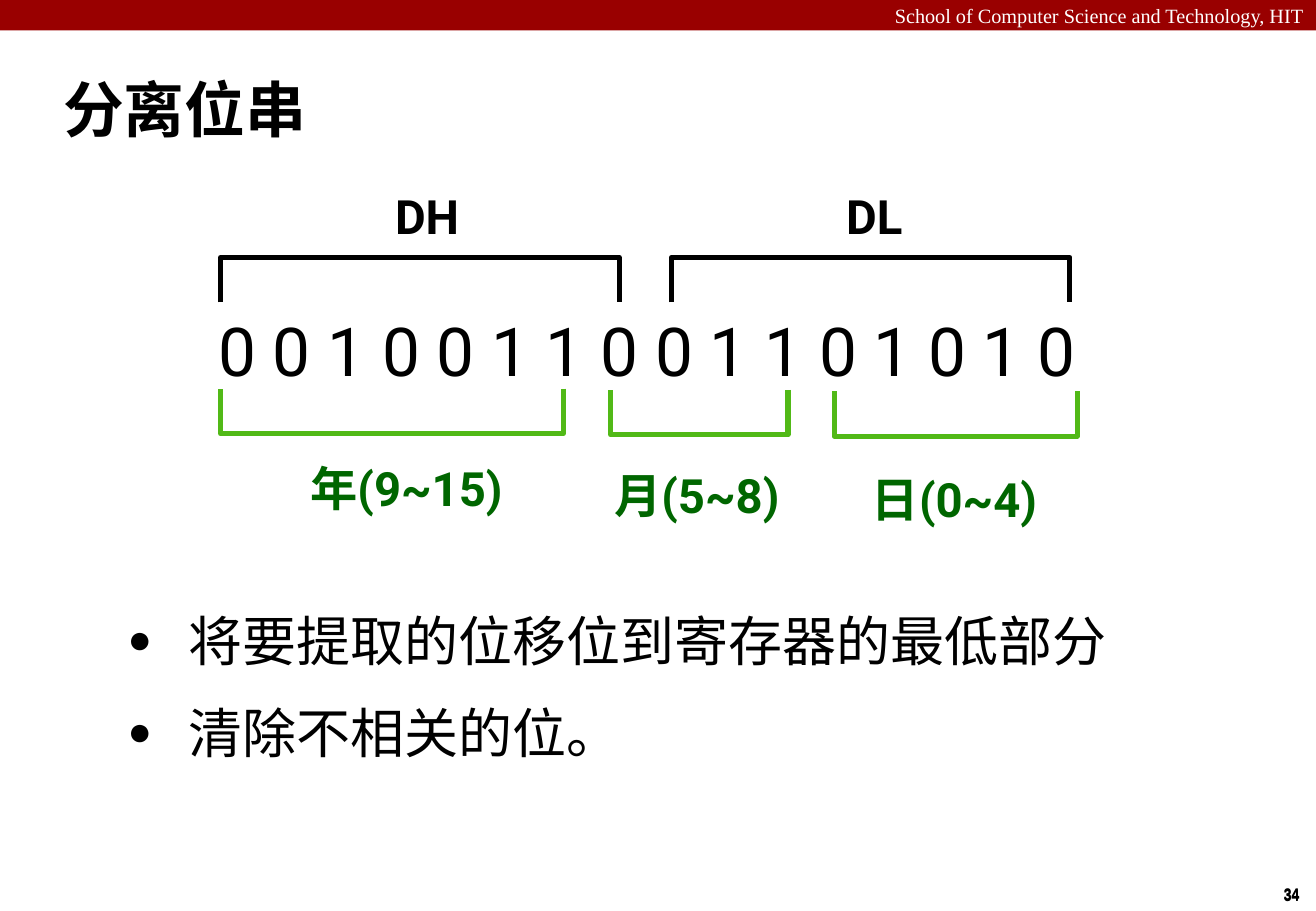
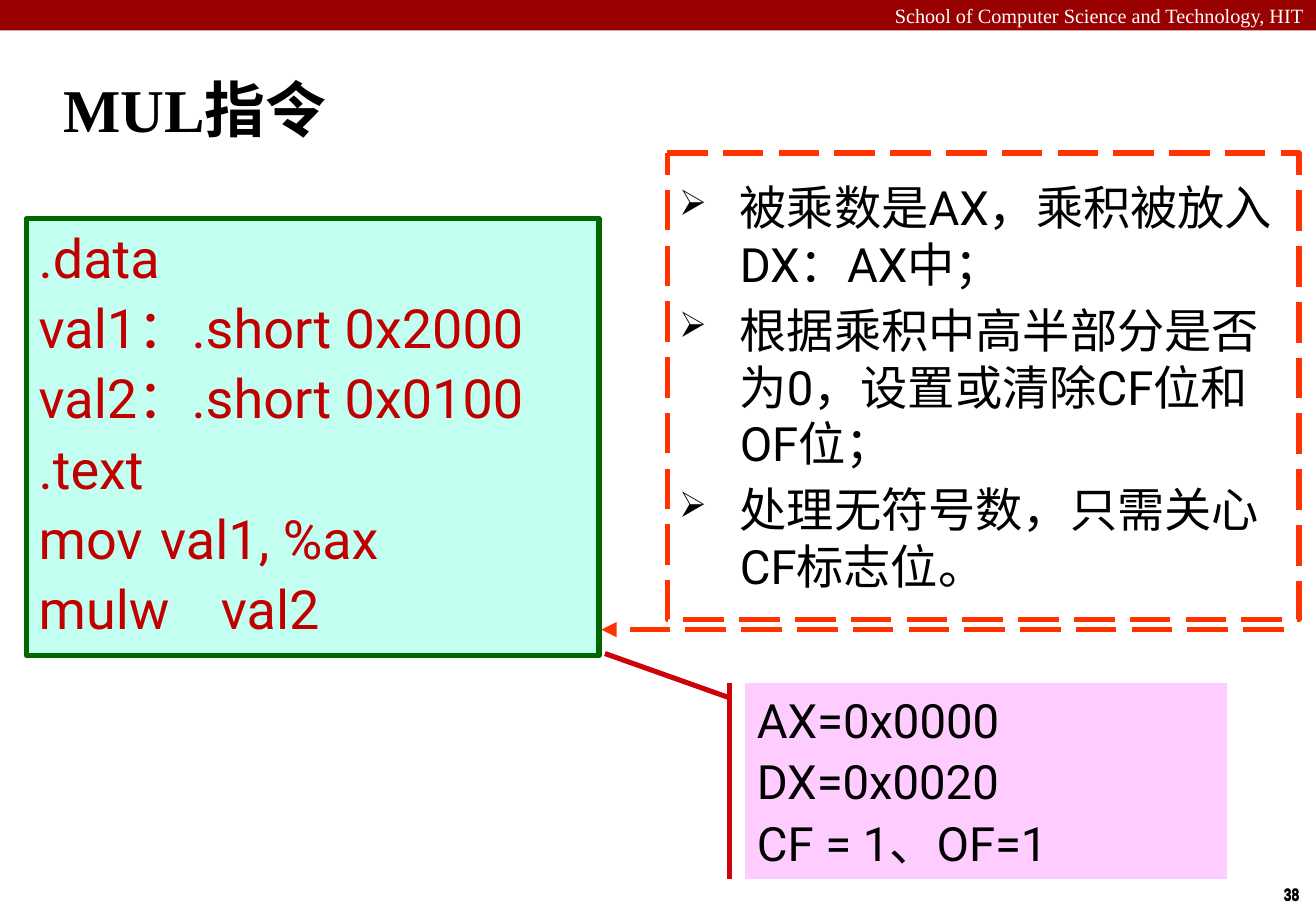
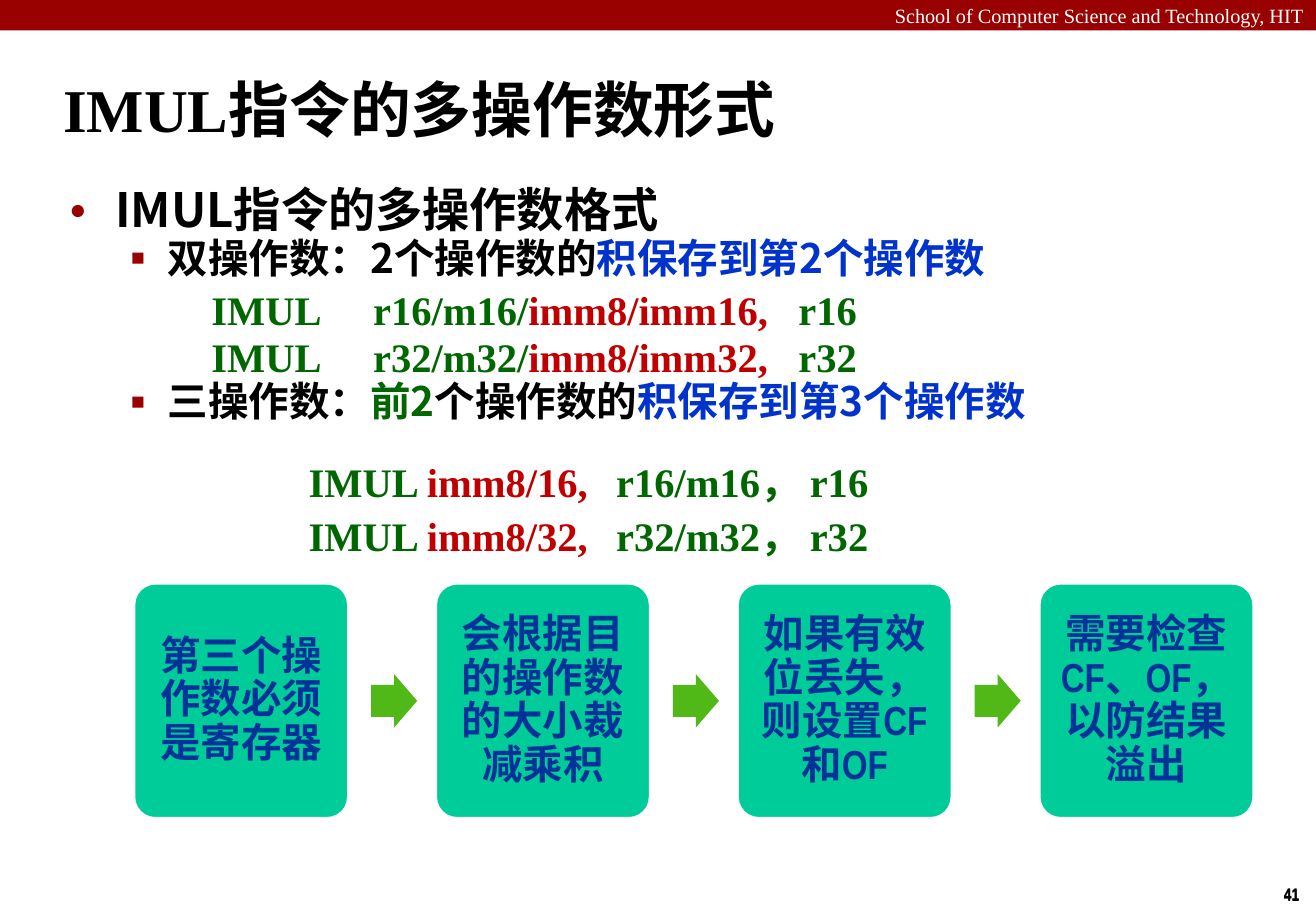
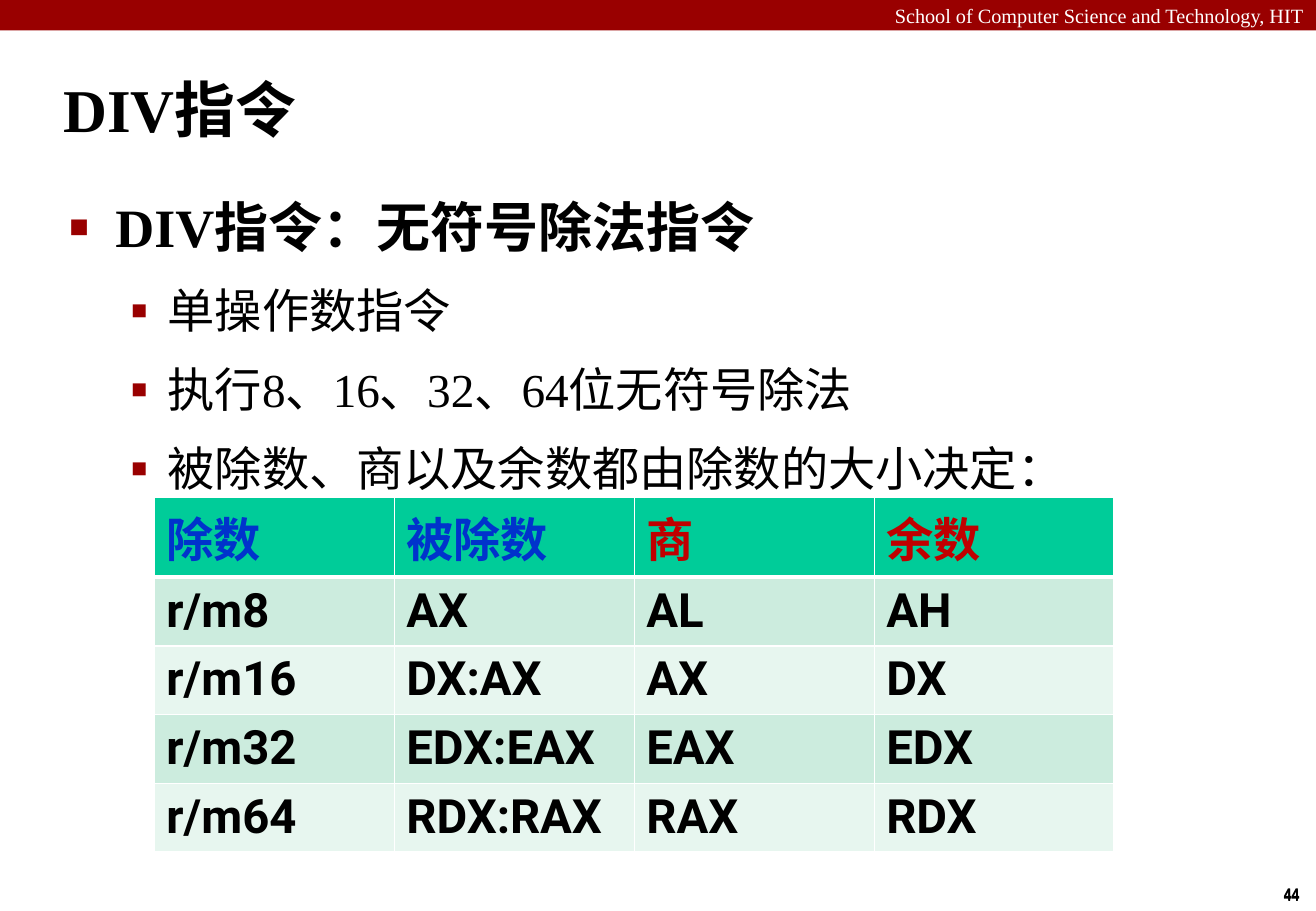
from collections.abc import Sequence
from dataclasses import dataclass

from lxml import etree
from pptx import Presentation
from pptx.dml.color import RGBColor
from pptx.enum.dml import MSO_LINE
from pptx.enum.shapes import MSO_SHAPE
from pptx.enum.text import MSO_ANCHOR, MSO_AUTO_SIZE, PP_ALIGN
from pptx.oxml.ns import qn
from pptx.presentation import Presentation as Deck
from pptx.shapes.autoshape import Shape
from pptx.slide import Slide
from pptx.table import _Cell
from pptx.text.text import TextFrame
from pptx.util import Inches, Pt

LEFT, CENTER, RIGHT = PP_ALIGN.LEFT, PP_ALIGN.CENTER, PP_ALIGN.RIGHT
TOP, MIDDLE = MSO_ANCHOR.TOP, MSO_ANCHOR.MIDDLE
RECTANGLE = MSO_SHAPE.RECTANGLE
ROUNDED = MSO_SHAPE.ROUNDED_RECTANGLE
RIGHT_ARROW = MSO_SHAPE.RIGHT_ARROW
LEFT_BRACKET = MSO_SHAPE.LEFT_BRACKET
BORDER_CALLOUT = MSO_SHAPE.LINE_CALLOUT_1
ACCENT_CALLOUT = MSO_SHAPE.LINE_CALLOUT_1_ACCENT_BAR
LONG_DASH = MSO_LINE.LONG_DASH
NO_AUTOSIZE = MSO_AUTO_SIZE.NONE

SANS, SERIF = "Roboto", "Times New Roman"
NARROW, CJK = "Arial Narrow", "Noto Sans CJK SC"

BLACK, WHITE = "000000", "FFFFFF"
CRIMSON, RED, ORANGE, CARMINE = "990000", "C00000", "FF3300", "CC0409"
GREEN, LIME, TEAL = "006600", "51B917", "00CC99"
BLUE, NAVY = "0033CC", "003399"
AQUA, PINK = "C2FFF0", "FFCCFF"
ROW_TINTS = ("CCECDE", "E7F6EF")

SLIDE_W, SLIDE_H = 10.83, 7.5
CONTENT_LAYOUT, TITLE_LAYOUT = 1, 5
BODY_BOX = (0.47, 1.49, 10.18, 5.76)

Box = tuple[float, float, float, float]
Text = str | Sequence[tuple[str, str]]


@dataclass(frozen=True)
class Bullet:
    char: str
    percent: int
    color: str = CRIMSON


@dataclass(frozen=True)
class BitField:
    """A bracket over or under some bits, with its label."""
    label: str
    left: float
    top: float
    span: float
    label_x: float
    label_top: float
    above: bool = False


DOT = Bullet("●", 60)
BLACK_DOT = Bullet("●", 75, BLACK)
ARROWHEAD = Bullet("➢", 75, BLACK)
BLOCK = Bullet("■", 60)
SQUARE = Bullet("▪", 110)

BIT_FIELDS = (
    BitField("DH", 1.815, 2.12, 3.28, 3.52, 1.52, above=True),
    BitField("DL", 5.525, 2.12, 3.28, 7.2, 1.52, above=True),
    BitField("年(9~15)", 1.815, 3.2, 2.82, 3.35, 3.76),
    BitField("月(5~8)", 5.025, 3.21, 1.46, 5.74, 3.82),
    BitField("日(0~4)", 6.865, 3.22, 2, 7.86, 3.85),
)
CODE_LINES = (".data", "val1：.short 0x2000", "val2：.short 0x0100",
              ".text", "mov\tval1, %ax", "mulw\tval2")
MUL_RULES = ("被乘数是AX，乘积被放入DX：AX中；",
             "根据乘积中高半部分是否为0，设置或清除CF位和OF位；",
             "处理无符号数，只需关心CF标志位。")
MUL_RESULTS = ("AX=0x0000", "DX=0x0020", "CF = 1、OF=1")
IMUL_STEPS = ("第三个操作数必须是寄存器", "会根据目的操作数的大小裁减乘积",
              "如果有效位丢失，则设置CF和OF", "需要检查CF、OF，以防结果溢出")
DIV_POINTS = ("单操作数指令", "执行8、16、32、64位无符号除法",
              "被除数、商以及余数都由除数的大小决定：")
DIV_TABLE = (
    ("除数", "被除数", "商", "余数"),
    ("r/m8", "AX", "AL", "AH"),
    ("r/m16", "DX:AX", "AX", "DX"),
    ("r/m32", "EDX:EAX", "EAX", "EDX"),
    ("r/m64", "RDX:RAX", "RAX", "RDX"),
)


# ---- text and shape helpers ----

def rgb(color: str) -> RGBColor:
    return RGBColor.from_string(color)


def write(frame: TextFrame, text: Text, *, size: float, font: str = SANS,
          color: str = BLACK, bold: bool = False, align: PP_ALIGN = LEFT,
          level: int = 0, margin: float = 0, indent: float = 0,
          line: float = 1.0, before: float = 0, after: float = 0,
          bullet: Bullet | None = None, tabs: Sequence[float] = ()) -> None:
    """Add one paragraph; text is a string or (text, colour) pieces.

    before and after are percentages, margins and tabs are inches.
    """
    first = frame.paragraphs[0]
    paragraph = frame.add_paragraph() if first.runs else first
    paragraph.alignment, paragraph.level = align, level
    paragraph.line_spacing = line

    # Spacing, bullet and tabs, in schema order
    props = paragraph._p.get_or_add_pPr()
    props.set("marL", str(Inches(margin)))
    props.set("indent", str(Inches(indent)))
    for tag, percent in (("a:spcBef", before), ("a:spcAft", after)):
        etree.SubElement(etree.SubElement(props, qn(tag)), qn("a:spcPct"),
                         val=str(round(percent * 1000)))
    if bullet:
        bullet_color = etree.SubElement(props, qn("a:buClr"))
        etree.SubElement(bullet_color, qn("a:srgbClr"), val=bullet.color)
        etree.SubElement(props, qn("a:buSzPct"), val=str(bullet.percent * 1000))
        etree.SubElement(props, qn("a:buChar"), char=bullet.char)
    else:
        etree.SubElement(props, qn("a:buNone"))
    if tabs:
        stops = etree.SubElement(props, qn("a:tabLst"))
        for stop in tabs:
            etree.SubElement(stops, qn("a:tab"), pos=str(Inches(stop)), algn="l")

    pieces = [(text, color)] if isinstance(text, str) else text
    for piece, piece_color in pieces:
        run = paragraph.add_run()
        run.text = piece
        run.font.size, run.font.bold, run.font.name = Pt(size), bold, font
        run.font.color.rgb = rgb(piece_color)
        etree.SubElement(run._r.get_or_add_rPr(), qn("a:ea"), typeface=CJK)


def set_frame(frame: TextFrame, anchor: MSO_ANCHOR = TOP, wrap: bool = True,
              inset: float = 0.05) -> TextFrame:
    frame.auto_size, frame.word_wrap = NO_AUTOSIZE, wrap
    frame.vertical_anchor = anchor
    frame.margin_left = frame.margin_right = Inches(0.1)
    frame.margin_top = frame.margin_bottom = Inches(inset)
    return frame


def place(shape: Shape, box: Box) -> None:
    shape.left, shape.top, shape.width, shape.height = map(Inches, box)


def add_shape(slide: Slide, kind: MSO_SHAPE, box: Box, *,
              fill: str | None = None, line: str | None = None,
              width: float = 3, adjust: Sequence[float] = ()) -> Shape:
    shape = slide.shapes.add_shape(kind, *map(Inches, box))
    shape.shadow.inherit = False
    if fill:
        shape.fill.solid()
        shape.fill.fore_color.rgb = rgb(fill)
    else:
        shape.fill.background()
    if line:
        shape.line.color.rgb = rgb(line)
        shape.line.width = Pt(width)
    else:
        shape.line.fill.background()
    for index, value in enumerate(adjust):
        shape.adjustments[index] = value
    return shape


def add_label(slide: Slide, text: str, box: Box, **style) -> None:
    label = slide.shapes.add_textbox(*map(Inches, box))
    write(set_frame(label.text_frame, MIDDLE, wrap=False), text,
          align=CENTER, **style)


# ---- shared slide parts ----

def new_slide(deck: Deck, layout: int, title: str, number: int) -> Slide:
    slide = deck.slides.add_slide(deck.slide_layouts[layout])
    place(slide.shapes.title, (0.42, 0.48, 10.41, 0.83))
    write(set_frame(slide.shapes.title.text_frame, MIDDLE), title,
          size=36, font=SERIF, bold=True)

    band = add_shape(slide, RECTANGLE, (0, 0, SLIDE_W, 0.25), fill=CRIMSON)
    write(set_frame(band.text_frame, MIDDLE, inset=0),
          "School of Computer Science and Technology, HIT",
          size=12, font=SERIF, color=WHITE, align=RIGHT)

    # The page number is set twice, slightly offset
    for top in (7.23, 7.22):
        add_label(slide, str(number), (10.46, top, 0.34, 0.27),
                  size=10, font=NARROW, bold=True)
    return slide


def body_frame(slide: Slide, box: Box = BODY_BOX) -> TextFrame:
    body = slide.placeholders[1]
    place(body, box)
    return set_frame(body.text_frame)


# ---- slides ----

def add_bit_field(slide: Slide, field: BitField) -> None:
    depth = 0.37
    box = (field.left + (field.span - depth) / 2,
           field.top - (field.span - depth) / 2, depth, field.span)
    bracket = add_shape(slide, LEFT_BRACKET, box, adjust=(0,),
                        line=BLACK if field.above else LIME)
    bracket.rotation = 90 if field.above else 270
    add_label(slide, field.label,
              (field.label_x - 0.87, field.label_top, 1.73, 0.51),
              size=28, bold=True, before=50,
              color=BLACK if field.above else GREEN)


def build_bit_string(deck: Deck) -> None:
    slide = new_slide(deck, CONTENT_LAYOUT, "分离位串", 34)
    steps = body_frame(slide, (0.95, 4.95, 9.73, 1.44))
    for step in ("将要提取的位移位到寄存器的最低部分", "清除不相关的位。"):
        write(steps, step, size=32, margin=0.5, indent=-0.5, before=50,
              bullet=BLACK_DOT)
    add_label(slide, "0 0 1 0 0 1 1 0 0 1 1 0 1 0 1 0",
              (1.49, 2.43, 7.67, 0.89), size=40, before=50)
    for field in BIT_FIELDS:
        add_bit_field(slide, field)


def build_mul(deck: Deck) -> None:
    slide = new_slide(deck, TITLE_LAYOUT, "MUL指令", 38)
    code = add_shape(slide, RECTANGLE, (0.22, 1.8, 4.71, 3.6),
                     fill=AQUA, line=GREEN)
    set_frame(code.text_frame)
    for code_line in CODE_LINES:
        write(code.text_frame, code_line, size=32, color=RED, before=10,
              tabs=(1.25,) if "\t" in code_line else ())

    # Dashed note whose leader points at the last code line
    rules = add_shape(slide, BORDER_CALLOUT, (5.49, 1.26, 5.2, 3.84),
                      line=ORANGE, adjust=(1.022, 0.976, 1.022, -0.104))
    rules.line.dash_style = LONG_DASH
    etree.SubElement(rules.line._get_or_add_ln(), qn("a:tailEnd"),
                     type="triangle")
    set_frame(rules.text_frame, MIDDLE)
    for rule in MUL_RULES:
        write(rules.text_frame, rule, size=28, margin=0.5, indent=-0.5,
              before=20, bullet=ARROWHEAD)

    results = add_shape(slide, ACCENT_CALLOUT, (6.13, 5.62, 3.97, 1.62),
                        fill=PINK, line=CARMINE,
                        adjust=(0.077, -0.032, -0.148, -0.29))
    set_frame(results.text_frame, MIDDLE)
    for result in MUL_RESULTS:
        write(results.text_frame, result, size=28, before=10)


def build_imul(deck: Deck) -> None:
    slide = new_slide(deck, CONTENT_LAYOUT, "IMUL指令的多操作数形式", 41)
    forms = body_frame(slide)
    heading = dict(size=24, font=CJK, bold=True, level=1, line=0.9,
                   margin=0.81, indent=-0.31, bullet=SQUARE)
    syntax = dict(size=24, font=SERIF, bold=True, level=2, line=0.9)

    write(forms, "IMUL指令的多操作数格式", size=28, font=CJK, bold=True,
          margin=0.38, indent=-0.38, line=0.9, bullet=DOT)
    write(forms, (("双操作数：2个操作数的", BLACK), ("积保存到第2个操作数", BLUE)),
          **heading)
    for bits, gap in ((16, 21), (32, 9)):
        write(forms, ((f"IMUL\tr{bits}/m{bits}/", GREEN),
                      (f"imm8/imm{bits},\t", RED), (f"r{bits}", GREEN)),
              indent=1.17, tabs=(2.32, 5.82), before=gap, **syntax)
    write(forms, (("三操作数：", BLACK), ("前2", GREEN), ("个操作数的", BLACK),
                  ("积保存到第3个操作数", BLUE)), **heading)
    for bits, gap in ((16, 92), (32, 26)):
        write(forms, (("IMUL ", GREEN), (f"imm8/{bits},\t", RED),
                      (f"r{bits}/m{bits}， r{bits}", GREEN)),
              indent=1.97, tabs=(4.51,), before=gap, **syntax)

    # Process row: equal boxes with an arrow in each gap
    pitch = 7.45 / (len(IMUL_STEPS) - 1)
    for index, step in enumerate(IMUL_STEPS):
        left = 1.1 + pitch * index
        if index:
            add_shape(slide, RIGHT_ARROW, (left - 0.53, 5.55, 0.38, 0.44),
                      fill=LIME, adjust=(0.6, 0.5))
        card = add_shape(slide, ROUNDED, (left, 4.8, 1.77, 1.94), fill=TEAL,
                         line=WHITE, width=2, adjust=(0.1,))
        write(set_frame(card.text_frame, MIDDLE, inset=0.1), step, size=24,
              font=NARROW, color=NAVY, bold=True, align=CENTER, line=0.9)


def set_borders(cell: _Cell, bottom: float) -> None:
    props = cell._tc.get_or_add_tcPr()
    for side, width in (("L", 1), ("R", 1), ("T", 1), ("B", bottom)):
        border = etree.SubElement(props, qn(f"a:ln{side}"), w=str(Pt(width)))
        fill = etree.SubElement(border, qn("a:solidFill"))
        etree.SubElement(fill, qn("a:srgbClr"), val=WHITE)


def build_div(deck: Deck) -> None:
    slide = new_slide(deck, CONTENT_LAYOUT, "DIV指令", 44)
    points = body_frame(slide)
    spacing = dict(font=SERIF, line=1.1, before=20, after=15)
    write(points, "DIV指令：无符号除法指令", size=32, bold=True, margin=0.38,
          indent=-0.38, bullet=BLOCK, **spacing)
    for point in DIV_POINTS:
        write(points, point, size=28, level=1, margin=0.81, indent=-0.31,
              bullet=SQUARE, **spacing)

    # Operand table
    operands = slide.shapes.add_table(
        len(DIV_TABLE), len(DIV_TABLE[0]),
        *map(Inches, (1.27, 4.09, 7.9, 2.83))).table
    for row, values in enumerate(DIV_TABLE):
        for column, value in enumerate(values):
            cell = operands.cell(row, column)
            header_color = BLUE if column < 2 else RED
            set_borders(cell, bottom=1 if row else 3)
            cell.fill.solid()
            cell.fill.fore_color.rgb = rgb(
                ROW_TINTS[(row - 1) % 2] if row else TEAL)
            write(cell.text_frame, value, size=28, bold=True, before=50,
                  color=BLACK if row else header_color)


def main() -> None:
    deck = Presentation()
    deck.slide_width, deck.slide_height = Inches(SLIDE_W), Inches(SLIDE_H)
    for build in (build_bit_string, build_mul, build_imul, build_div):
        build(deck)
    deck.save("out.pptx")


if __name__ == "__main__":
    main()
